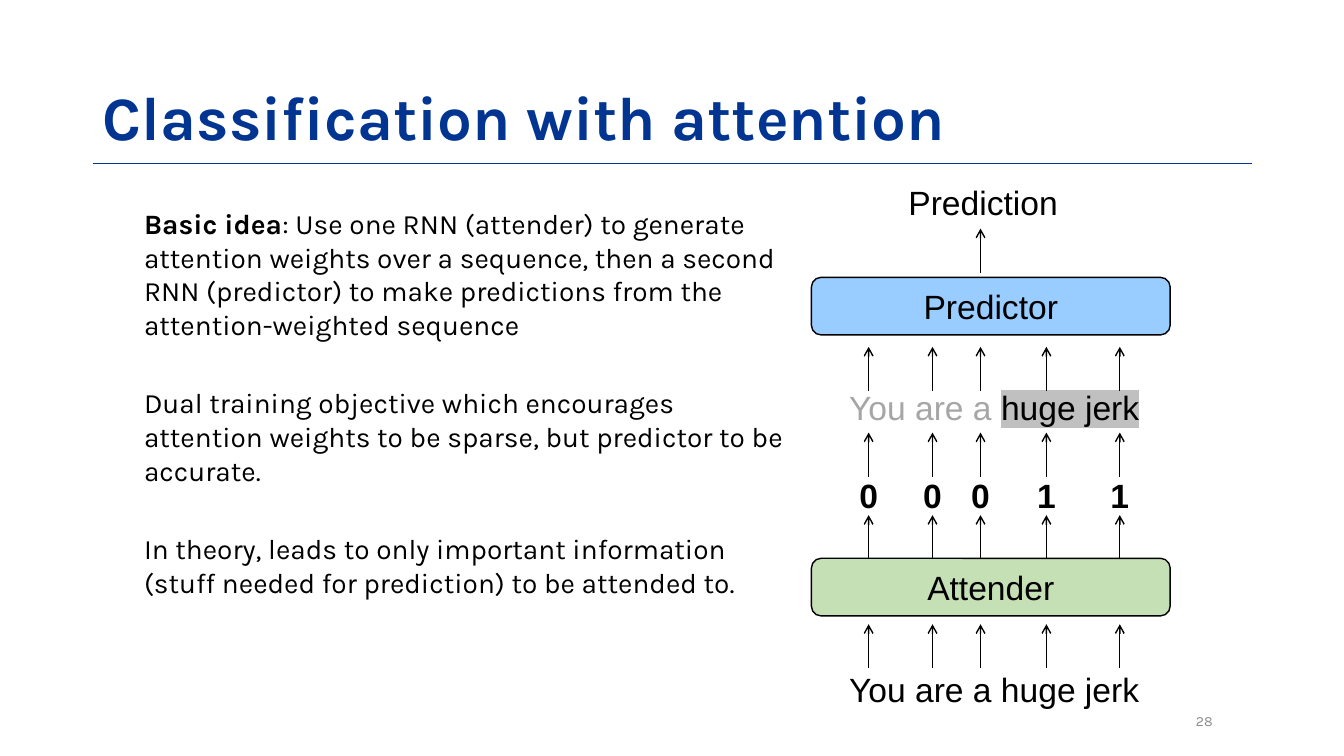
from lxml.etree import SubElement
from pptx import Presentation
from pptx.dml.color import RGBColor
from pptx.enum.shapes import MSO_CONNECTOR, MSO_SHAPE
from pptx.enum.text import MSO_ANCHOR, MSO_AUTO_SIZE, PP_ALIGN
from pptx.oxml.ns import qn
from pptx.util import Cm, Pt

COLOURS = {
    "navy": "013591", "black": "000000", "grey": "8C8C8C", "faded": "A6A6A6",
    "marker": "C0C0C0", "green": "C5E0B4", "blue": "99CCFF",
}
INSET = 0.25
WORD_CENTRES = [21.89, 23.5, 24.71, 26.37, 28.22]
ARROW_LENGTH = 1.11
ARROW_ROW_BOTTOMS = [16.84, 14.09, 12.01, 9.85]
IDEAS = [
    [("Basic idea", {"bold": True}),
     (": Use one RNN (attender) to generate attention weights over a sequence, "
      "then a second RNN (predictor) to make predictions from the "
      "attention-weighted sequence", {})],
    [("Dual training objective which encourages attention weights to be sparse, "
      "but predictor to be accurate.", {})],
    [("In theory, leads to only important information (stuff needed for "
      "prediction) to be attended to.", {})],
]


def rgb(name):
    return RGBColor.from_string(COLOURS[name])


def set_all(target, values):
    for name, value in values.items():
        setattr(target, name, value)


class SlideBuilder:
    """Holds the text styles and the slide being drawn."""

    title_font = {"name": "Karla", "size": Pt(44), "bold": True}
    body_font = {"name": "Karla", "size": Pt(20), "bold": False}
    number_font = {"name": "Karla", "size": Pt(10)}
    diagram_font = {"name": "Arial", "size": Pt(24)}

    def __init__(self, page):
        self.page = page

    def add_spans(self, paragraph, spans, font, colour="black"):
        """Add (text, overrides) spans; overrides may hold colour and highlight."""
        for text, overrides in spans:
            values = {**font, **overrides}
            span_colour = values.pop("colour", colour)
            highlight = values.pop("highlight", None)
            span = paragraph.add_run()
            span.text = text
            set_all(span.font, values)
            span.font.color.rgb = rgb(span_colour)
            if highlight:
                properties = span._r.get_or_add_rPr()
                mark = SubElement(properties, qn("a:highlight"))
                SubElement(mark, qn("a:srgbClr"), val=COLOURS[highlight])
                properties.find(qn("a:solidFill")).addnext(mark)

    def title(self, text, left, top, width, height):
        box = self.page.shapes.title
        set_all(box, {"left": Cm(left), "top": Cm(top),
                      "width": Cm(width), "height": Cm(height)})
        set_all(box.text_frame, {"vertical_anchor": MSO_ANCHOR.BOTTOM,
                                 "auto_size": MSO_AUTO_SIZE.NONE,
                                 "word_wrap": True})
        paragraph = box.text_frame.paragraphs[0]
        set_all(paragraph, {"alignment": PP_ALIGN.LEFT, "line_spacing": 0.9})
        self.add_spans(paragraph, [(text, {})], self.title_font, "navy")

    def text_box(self, left, top, width, height, anchor=MSO_ANCHOR.TOP):
        box = self.page.shapes.add_textbox(Cm(left), Cm(top), Cm(width), Cm(height))
        set_all(box.text_frame, {"word_wrap": True, "vertical_anchor": anchor})
        return box.text_frame

    def body(self, ideas, left, top, width, height):
        frame = self.text_box(left, top, width, height)
        for index, spans in enumerate(ideas):
            paragraph = frame.add_paragraph() if index else frame.paragraphs[0]
            set_all(paragraph, {"line_spacing": Pt(24),
                                "space_before": Pt(32 if index else 4)})
            self.add_spans(paragraph, spans, self.body_font)

    def page_number(self, number, left, top, width, height):
        frame = self.text_box(left, top, width, height, MSO_ANCHOR.MIDDLE)
        paragraph = frame.paragraphs[0]
        paragraph.alignment = PP_ALIGN.RIGHT
        self.add_spans(paragraph, [(number, {})], self.number_font, "grey")

    def label(self, spans, top, left=20.19):
        paragraph = self.text_box(left, top, 9.73, 1.27).paragraphs[0]
        paragraph.alignment = PP_ALIGN.CENTER
        self.add_spans(paragraph, spans, self.diagram_font)

    def weights(self, values, centres, top, left=20.19):
        """Set the values in one line, each on a centred tab stop."""
        paragraph = self.text_box(left, top, 9.73, 1.27).paragraphs[0]
        tabs = SubElement(paragraph._p.get_or_add_pPr(), qn("a:tabLst"))
        for centre in centres:
            SubElement(tabs, qn("a:tab"), algn="ctr",
                       pos=str(Cm(centre - left - INSET)))
        text = "".join(f"\t{value}" for value in values)
        self.add_spans(paragraph, [(text, {"bold": True})], self.diagram_font)

    def network(self, name, top, fill):
        box = self.page.shapes.add_shape(MSO_SHAPE.ROUNDED_RECTANGLE,
                                         Cm(20.45), Cm(top), Cm(9.04), Cm(1.45))
        box.shadow.inherit = False
        box.fill.solid()
        box.fill.fore_color.rgb = rgb(fill)
        box.line.color.rgb = rgb("black")
        box.line.width = Pt(1)
        box.text_frame.vertical_anchor = MSO_ANCHOR.MIDDLE
        paragraph = box.text_frame.paragraphs[0]
        paragraph.alignment = PP_ALIGN.CENTER
        self.add_spans(paragraph, [(name, {})], self.diagram_font)

    def line(self, start, end, colour="black"):
        connector = self.page.shapes.add_connector(
            MSO_CONNECTOR.STRAIGHT, *(Cm(value) for value in (*start, *end)))
        connector.line.color.rgb = rgb(colour)
        connector.line.width = Pt(1)
        SubElement(connector._element.spPr, qn("a:effectLst"))
        return connector

    def up_arrow(self, centre, bottom):
        arrow = self.line((centre, bottom), (centre, bottom - ARROW_LENGTH))
        outline = arrow._element.spPr.find(qn("a:ln"))
        SubElement(outline, qn("a:tailEnd"), type="arrow")


def main():
    deck = Presentation()
    set_all(deck, {"slide_width": Cm(33.87), "slide_height": Cm(19.05)})
    slide = SlideBuilder(deck.slides.add_slide(deck.slide_layouts[5]))

    slide.line((2.34, 4.12), (31.55, 4.12), "navy")
    slide.title("Classification with attention", 2.34, 1.57, 29.21, 2.44)
    slide.body(IDEAS, 3.38, 5.08, 16.81, 10.16)
    slide.page_number("28", 23.93, 17.65, 6.88, 1.02)

    slide.network("Attender", 14.07, "green")
    slide.network("Predictor", 6.99, "blue")
    slide.label([("You are a ", {"colour": "faded"}),
                 ("huge jerk", {"highlight": "marker"})], 9.63)
    slide.label([("Prediction", {})], 4.45, left=19.91)
    slide.label([("You are a huge jerk", {})], 16.74)
    slide.weights([0, 0, 0, 1, 1], WORD_CENTRES, 11.84)

    for bottom in ARROW_ROW_BOTTOMS:
        for centre in WORD_CENTRES:
            slide.up_arrow(centre, bottom)
    slide.up_arrow(WORD_CENTRES[2], 6.87)

    deck.save("out.pptx")


if __name__ == "__main__":
    main()
